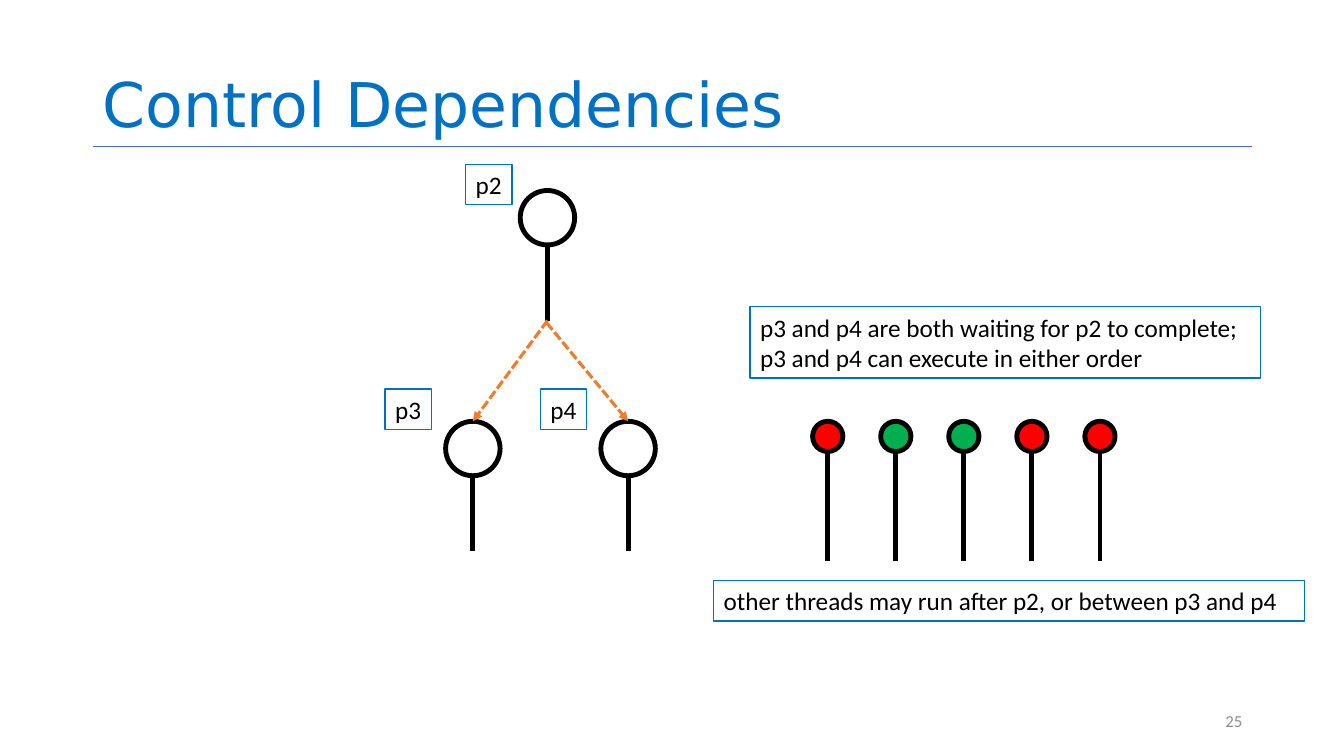
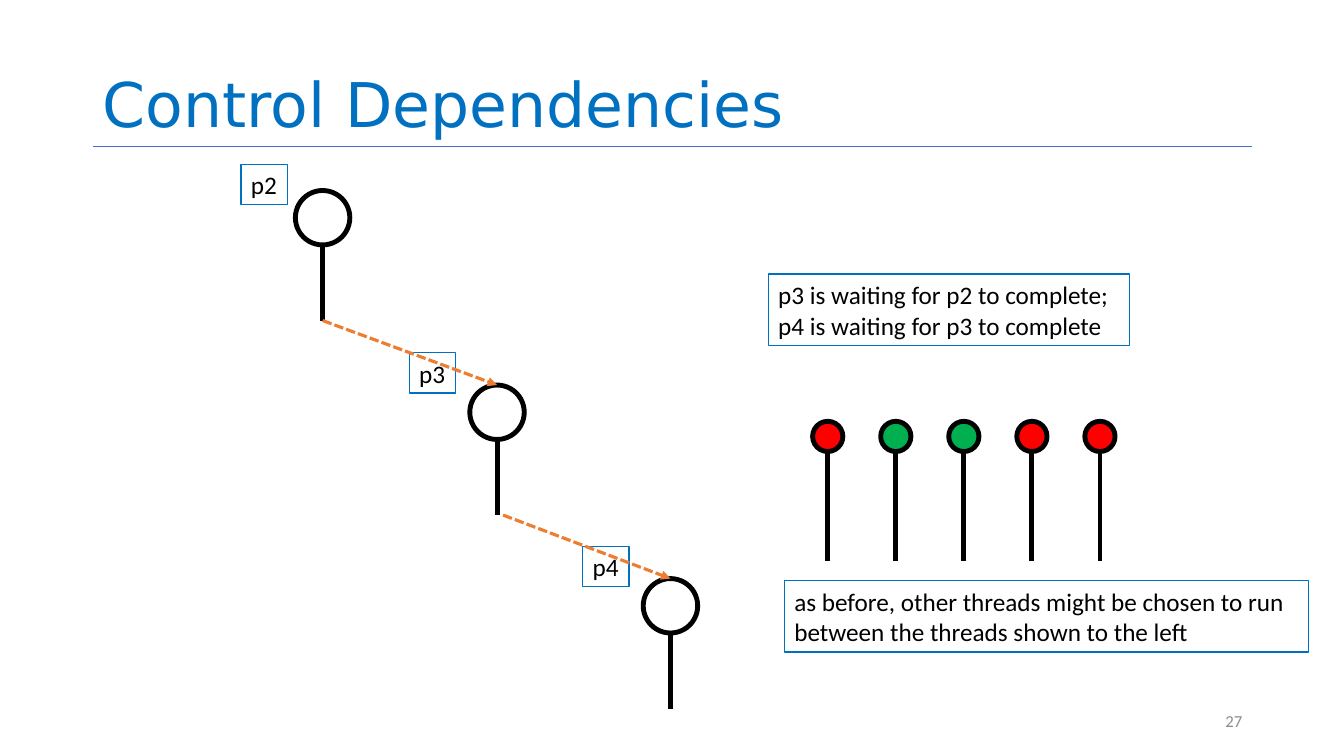
from pptx import Presentation
from pptx.dml.color import RGBColor
from pptx.enum.dml import MSO_LINE
from pptx.enum.shapes import MSO_CONNECTOR, MSO_SHAPE
from pptx.enum.text import MSO_ANCHOR, PP_ALIGN
from pptx.oxml.ns import qn
from pptx.util import Inches, Pt
from lxml.etree import SubElement

rgb = RGBColor.from_string
BLACK, BLUE, RULE = "000000", "0070C0", "4472C4"
ORANGE, GREY = "ED7D31", "8C8C8C"
RED, GREEN = "FF0000", "00B050"
FONT, HEAD = "Calibri", "DejaVu Sans"
THICK = 3.5
NODE, BULB = 0.54, 0.3
STEM = 0.75

SLIDES = [
    {
        "number": "25",
        # name, centre, top, label offset left and up
        "nodes": [("p2", 5.43, 1.89, 0.81, 0.26),
                  ("p3", 4.69, 4.18, 0.87, 0.32),
                  ("p4", 6.23, 4.18, 0.87, 0.32)],
        # start point, index of the node waiting
        "arrows": [(5.43, 3.18, 1), (5.42, 3.2, 2)],
        "notes": [(7.44, 3.04, 5.06, 0.71,
                   ["p3 and p4 are both waiting for p2 to complete;",
                    "p3 and p4 can execute in either order"]),
                  (7.08, 5.76, 5.86, 0.4,
                   ["other threads may run after p2, or between p3 and p4"])],
    },
    {
        "number": "27",
        "nodes": [("p2", 3.2, 1.89, 0.81, 0.26),
                  ("p3", 4.93, 3.82, 0.87, 0.32),
                  ("p4", 6.65, 5.74, 0.87, 0.32)],
        "arrows": [(3.2, 3.18, 1), (4.99, 5.11, 2)],
        "notes": [(7.62, 2.72, 3.58, 0.71,
                   ["p3 is waiting for p2 to complete;",
                    "p4 is waiting for p3 to complete"]),
                  (7.78, 5.76, 5.2, 0.71,
                   ["as before, other threads might be chosen to run "
                    "between the threads shown to the left"])],
    },
]


def add_line(shapes, x1, y1, x2, y2, color=BLACK, width=THICK):
    line = shapes.add_connector(MSO_CONNECTOR.STRAIGHT, Inches(x1), Inches(y1),
                                Inches(x2), Inches(y2))
    line.line.color.rgb = rgb(color)
    line.line.width = Pt(width)
    SubElement(line._element.spPr, qn("a:effectLst"))
    return line


def add_box(shapes, kind, x, y, w, h, color, width, fill=None, text=(), wrap=True):
    """Add an outlined shape, with one paragraph for each item of text."""
    box = shapes.add_shape(kind, Inches(x), Inches(y), Inches(w), Inches(h))
    box.shadow.inherit = False
    if fill:
        box.fill.solid()
        box.fill.fore_color.rgb = rgb(fill)
    else:
        box.fill.background()
    box.line.color.rgb = rgb(color)
    box.line.width = Pt(width)
    frame = box.text_frame
    frame.word_wrap = wrap
    frame.vertical_anchor = MSO_ANCHOR.MIDDLE
    for i, words in enumerate(text):
        para = frame.add_paragraph() if i else frame.paragraphs[0]
        para.text = words
        para.alignment = PP_ALIGN.LEFT
        para.font.name = FONT
        para.font.size = Pt(18)
        para.font.color.rgb = rgb(BLACK)
    return box


deck = Presentation()
deck.slide_width, deck.slide_height = Inches(13.33), Inches(7.5)
layout = deck.slide_layouts.get_by_name("Title Only")
head = layout.placeholders[0]
head.left, head.top = Inches(0.92), Inches(0)
head.width, head.height = Inches(11.5), Inches(1.45)
head.text_frame.vertical_anchor = MSO_ANCHOR.BOTTOM

for data in SLIDES:
    slide = deck.slides.add_slide(layout)
    shapes = slide.shapes
    add_line(shapes, 0.92, 1.45, 12.42, 1.45, RULE, 0.5)

    shapes.title.text = "Control Dependencies"
    para = shapes.title.text_frame.paragraphs[0]
    para.alignment = PP_ALIGN.LEFT
    para.line_spacing = 0.9
    para.font.name = HEAD
    para.font.size = Pt(44)
    para.font.color.rgb = rgb(BLUE)

    number = shapes.add_textbox(Inches(9.42), Inches(6.95), Inches(3), Inches(0.4))
    number.text_frame.word_wrap = True
    number.text_frame.vertical_anchor = MSO_ANCHOR.MIDDLE
    para = number.text_frame.paragraphs[0]
    para.text = data["number"]
    para.alignment = PP_ALIGN.RIGHT
    para.font.name = FONT
    para.font.size = Pt(12)
    para.font.color.rgb = rgb(GREY)

    nodes = []
    for name, x, y, left, up in data["nodes"]:
        group = shapes.add_group_shape().shapes
        nodes.append(add_box(group, MSO_SHAPE.OVAL, x - NODE / 2, y, NODE, NODE,
                             BLACK, THICK))
        add_line(group, x, y + NODE, x, y + NODE + STEM)
        add_box(group, MSO_SHAPE.RECTANGLE, x - left, y - up, 0.46, 0.4,
                BLUE, 1, text=[name], wrap=False)

    for x, y, index in data["arrows"]:
        arrow = add_line(shapes, x, y, x, y, ORANGE, 2.25)
        arrow.end_connect(nodes[index], 0)
        arrow.line.dash_style = MSO_LINE.SQUARE_DOT
        SubElement(arrow.line._get_or_add_ln(), qn("a:tailEnd"), type="triangle")

    threads = shapes.add_group_shape().shapes
    for i, color in enumerate([RED, GREEN, GREEN, RED, RED]):
        x = 8.21 + 0.675 * i
        add_line(threads, x, 4.48, x, 5.57)
        add_box(threads, MSO_SHAPE.OVAL, x - BULB / 2, 4.18, BULB, BULB,
                BLACK, THICK, color)

    for x, y, w, h, text in data["notes"]:
        add_box(shapes, MSO_SHAPE.RECTANGLE, x, y, w, h, BLUE, 1, text=text)

deck.save("out.pptx")
